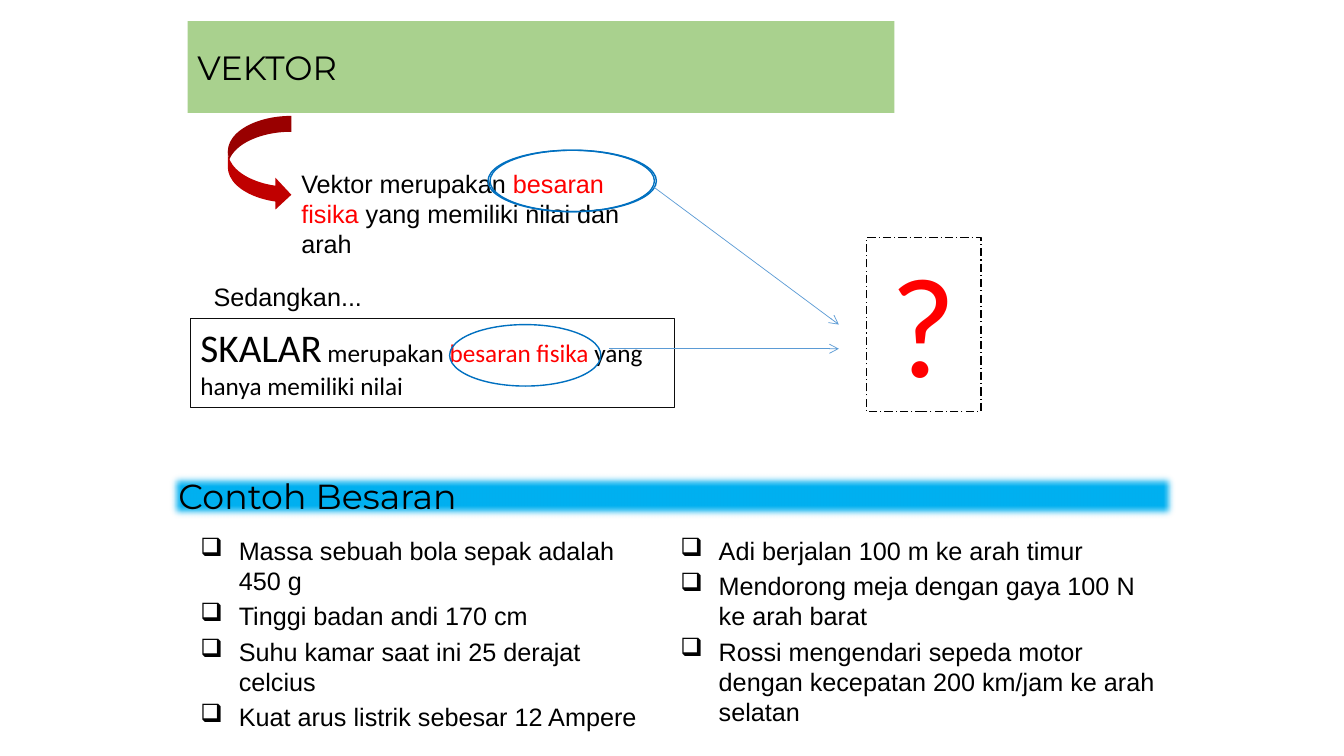
from lxml import etree
from pptx import Presentation
from pptx.dml.color import RGBColor
from pptx.enum.dml import MSO_LINE
from pptx.enum.shapes import MSO_CONNECTOR, MSO_SHAPE
from pptx.enum.text import MSO_ANCHOR, PP_ALIGN
from pptx.oxml.ns import qn
from pptx.util import Inches, Pt

RECT, OVAL = MSO_SHAPE.RECTANGLE, MSO_SHAPE.OVAL
CURVED_ARROW = MSO_SHAPE.CURVED_RIGHT_ARROW
STRAIGHT = MSO_CONNECTOR.STRAIGHT
DASH_DOT = MSO_LINE.LONG_DASH_DOT
TOP, MIDDLE = MSO_ANCHOR.TOP, MSO_ANCHOR.MIDDLE
LEFT, CENTER = PP_ALIGN.LEFT, PP_ALIGN.CENTER

BLACK = RGBColor(0x00, 0x00, 0x00)
NEAR_BLACK = RGBColor(0x0D, 0x0D, 0x0D)
RED = RGBColor(0xFF, 0x00, 0x00)
DARK_RED = RGBColor(0xC0, 0x00, 0x00)
GREEN = RGBColor(0xA9, 0xD1, 0x8E)
SKY = RGBColor(0x00, 0xB0, 0xF0)
BLUE = RGBColor(0x00, 0x70, 0xC0)
ARROW_BLUE = RGBColor(0x5B, 0x9B, 0xD5)

prs = Presentation()
prs.slide_width, prs.slide_height = Inches(13.33), Inches(7.5)
s = prs.slides.add_slide(prs.slide_layouts[6])


def add_box(kind, x, y, w, h, fill=None, line=None, width=0.75):
    box = (Inches(x), Inches(y), Inches(w), Inches(h))
    if kind is None:
        return s.shapes.add_textbox(*box)
    sp = s.shapes.add_shape(kind, *box)
    sp.shadow.inherit = False
    if fill is None:
        sp.fill.background()
    else:
        sp.fill.solid()
        sp.fill.fore_color.rgb = fill
    if line is None:
        sp.line.fill.background()
    else:
        sp.line.color.rgb = line
        sp.line.width = Pt(width)
    return sp


def write(sp, paragraphs, font, anchor=TOP, align=LEFT):
    tf = sp.text_frame
    tf.word_wrap = True
    tf.vertical_anchor = anchor
    for i, runs in enumerate(paragraphs):
        p = tf.paragraphs[0] if i == 0 else tf.add_paragraph()
        p.alignment = align
        for text, size, color in runs:
            r = p.add_run()
            r.text = text
            r.font.name = font
            r.font.size = Pt(size)
            r.font.color.rgb = color


title = add_box(RECT, 1.86, 0.21, 7.01, 0.91, GREEN)
write(title, [[("VEKTOR", 24, BLACK)]], "Montserrat", MIDDLE)

add_box(CURVED_ARROW, 2.26, 1.15, 0.63, 0.94, DARK_RED)

vector = add_box(None, 2.89, 1.62, 3.62, 1.01)
write(vector, [[("Vektor merupakan ", 18, BLACK), ("besaran fisika", 18, RED),
                (" yang memiliki nilai dan arah", 18, BLACK)]], "Arial")

scalar = add_box(RECT, 1.89, 3.16, 4.8, 0.88, line=NEAR_BLACK)
write(scalar, [[("SKALAR", 28, BLACK), (" merupakan ", 18, BLACK),
                ("besaran fisika ", 18, RED),
                ("yang hanya memiliki nilai", 18, BLACK)]], "Calibri")

whereas = add_box(None, 2.02, 2.74, 3.47, 0.4)
write(whereas, [[("Sedangkan...", 18, BLACK)]], "Arial")

for x, y, w in [(4.86, 1.49, 1.65), (4.46, 3.22, 1.5), (4.84, 1.49, 1.65)]:
    add_box(OVAL, x, y, w, 0.61, line=BLUE, width=1)

for x1, y1, y2 in [(6.49, 1.86, 3.22), (6.04, 3.46, 3.46)]:
    arrow = s.shapes.add_connector(STRAIGHT, Inches(x1), Inches(y1), Inches(8.32), Inches(y2))
    arrow.line.color.rgb = ARROW_BLUE
    arrow.line.width = Pt(0.5)
    etree.SubElement(arrow.line._get_or_add_ln(), qn("a:tailEnd"), type="arrow")
    etree.SubElement(arrow._element.spPr, qn("a:effectLst"))

question = add_box(RECT, 8.59, 2.36, 1.14, 1.72, line=BLACK)
question.line.dash_style = DASH_DOT
write(question, [[("?", 96, RED)]], "Lato", align=CENTER)

examples = [
    (1.89, 4.6, 1.88, ["Massa sebuah bola sepak adalah 450 g",
                       "Tinggi badan andi 170 cm",
                       "Suhu kamar saat ini 25 derajat celcius",
                       "Kuat arus listrik sebesar 12 Ampere"]),
    (6.65, 5.01, 2.1, ["Adi berjalan 100 m ke arah timur",
                       "Mendorong meja dengan gaya 100 N ke arah barat",
                       "Rossi mengendari sepeda motor dengan kecepatan 200 km/jam ke arah selatan"]),
]
for x, w, h, items in examples:
    column = add_box(None, x, 5.26, w, h)
    write(column, [[(item, 18, BLACK)] for item in items], "Arial")
    for p in column.text_frame.paragraphs:
        p.space_before = Pt(3.6)
        pPr = p._p.get_or_add_pPr()
        pPr.set("marL", str(Inches(0.38)))
        pPr.set("indent", str(-Inches(0.38)))
        etree.SubElement(pPr, qn("a:buChar"), char="❑")

heading = add_box(RECT, 1.67, 4.69, 10, 0.46, SKY)
write(heading, [[("Contoh Besaran", 24.8, BLACK)]], "Montserrat", MIDDLE)
effects = heading._element.spPr.find(qn("a:effectLst"))
etree.SubElement(effects, qn("a:softEdge"), rad=str(Pt(5)))

prs.save("out.pptx")
